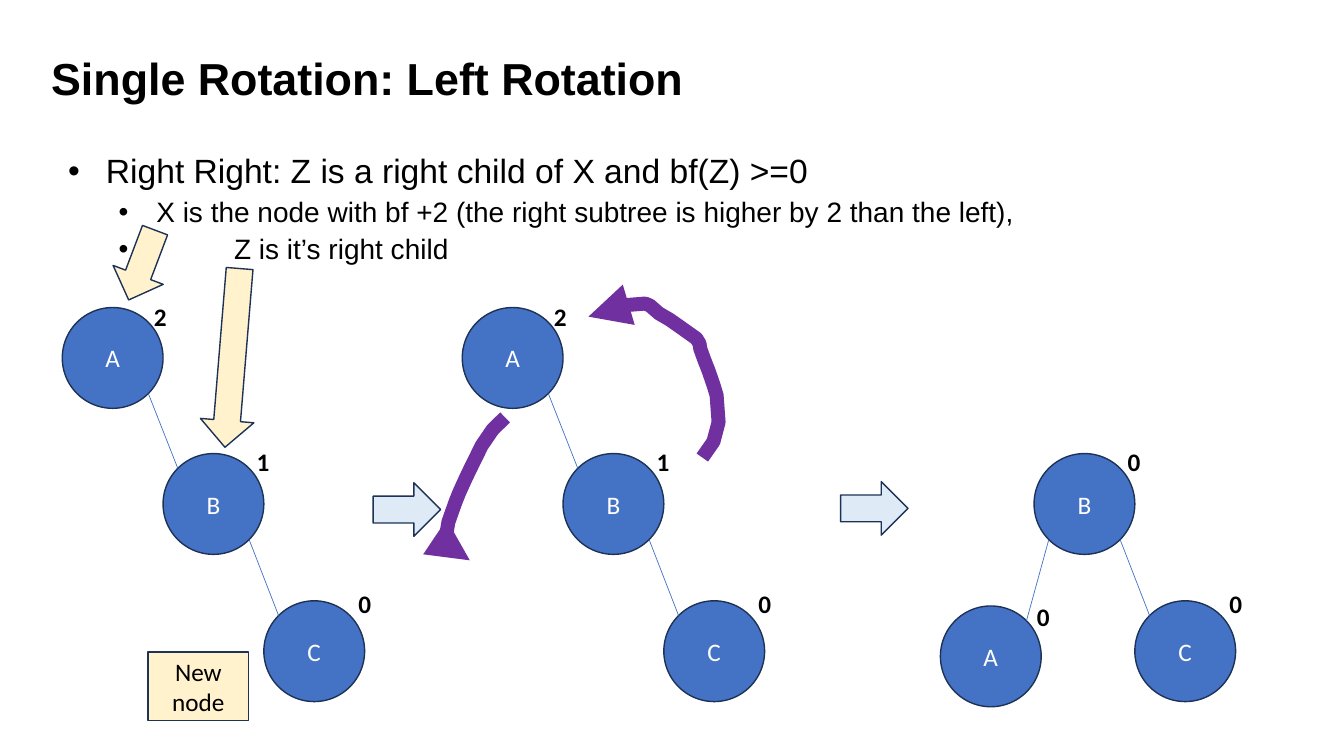
import pptx
import pptx.dml.color
import pptx.enum.shapes
import pptx.enum.text
import pptx.oxml.ns
import pptx.oxml.xmlchemy
import pptx.util

Cm, Pt = pptx.util.Cm, pptx.util.Pt
RGBColor = pptx.dml.color.RGBColor
SHAPE = pptx.enum.shapes.MSO_SHAPE
ANCHOR = pptx.enum.text.MSO_ANCHOR
ALIGN = pptx.enum.text.PP_ALIGN

BLACK = RGBColor(0x00, 0x00, 0x00)
WHITE = RGBColor(0xFF, 0xFF, 0xFF)
BLUE = RGBColor(0x44, 0x72, 0xC4)
NAVY = RGBColor(0x1E, 0x32, 0x56)
CREAM = RGBColor(0xFF, 0xF2, 0xCC)
PALE_BLUE = RGBColor(0xDE, 0xEB, 0xF7)
PURPLE = RGBColor(0x70, 0x30, 0xA0)

TITLE = "Single Rotation: Left Rotation"
# text, level, left margin (cm), first-line indent (cm), space before (pt), size (pt)
BULLETS = [
    ("Right Right: Z is a right child of X and bf(Z) >=0", 0, 0.95, -0.95, 0, 24),
    ("X is the node with bf +2 (the right subtree is higher by 2 than the left),",
     1, 2.22, -0.95, 5, 20),
    ("Z is it’s right child", 1, 4.18, -2.91, 5, 20),
]
NEW_NODE = ("New node", (3.73, 16.43, 2.54, 1.73))

# Lengths below are in cm.
NODE_SIZE = 2.54
BALANCE_SIZE = (0.84, 1.02)
# label: (left, top, offset of the balance factor from the node's corner)
CHAIN = {
    "A": (1.57, 7.75, (2.06, -0.28)),
    "B": (4.11, 11.43, (2.11, -0.30)),
    "C": (6.65, 15.14, (2.13, -0.43)),
}
ROTATED = {**CHAIN, "A": (1.75, 15.27, (2.18, -0.23))}
# shift to the right, nodes, balance factors, edges (parent, child)
TREES = [
    (0, CHAIN, "210", ["AB", "BC"]),
    (10.08, CHAIN, "210", ["AB", "BC"]),
    (21.95, ROTATED, "000", ["BA", "BC"]),
]
# left, top, width, height, rotation, fill
BLOCK_ARROWS = [
    (2.90, 5.74, 1.35, 1.88, 20.7, CREAM),
    (5.18, 6.76, 1.35, 4.52, 4.7, CREAM),
    (9.58, 11.99, 1.35, 1.70, 270, PALE_BLUE),
    (21.36, 11.96, 1.35, 1.70, 270, PALE_BLUE),
]
SWINGS = [
    [(17.70, 11.53), (17.98, 11.13), (18.11, 10.64), (18.06, 9.96), (17.98, 9.70),
     (17.86, 9.35), (17.75, 9.07), (17.65, 8.79), (17.63, 8.66), (17.55, 8.53),
     (17.17, 8.26), (16.87, 8.05), (16.61, 7.90), (16.38, 7.70), (16.26, 7.65),
     (15.65, 7.70), (15.37, 7.77), (15.01, 7.85), (14.83, 7.98)],
    [(12.73, 10.52), (12.42, 10.82), (12.14, 11.23), (11.84, 11.84), (11.73, 12.07),
     (11.58, 12.40), (11.48, 12.65), (11.38, 12.93), (11.30, 13.16), (11.25, 13.46),
     (11.25, 13.69), (11.25, 13.87), (11.23, 14.10), (11.25, 14.15), (11.46, 14.22),
     (11.73, 14.20), (11.84, 14.12)],
]


def set_all(target, values):
    for name, value in values.items():
        setattr(target, name, value)


def append_element(parent, tag, **attributes):
    element = pptx.oxml.xmlchemy.OxmlElement(tag)
    for name, value in attributes.items():
        element.set(name, value)
    parent.append(element)


def write(para, text, color, **font):
    para.text = text
    set_all(para.font, font)
    para.font.color.rgb = color


def add_text_box(page, place, **frame):
    box = page.shapes.add_textbox(*map(Cm, place))
    set_all(box.text_frame, frame)
    return box.text_frame


def add_filled(page, kind, place, fill, text="", color=BLACK):
    shape = page.shapes.add_shape(kind, *map(Cm, place))
    shape.shadow.inherit = False
    shape.fill.solid()
    shape.fill.fore_color.rgb = fill
    shape.line.color.rgb = NAVY
    shape.line.width = Pt(1)
    if text:
        set_all(shape.text_frame, {"word_wrap": True, "vertical_anchor": ANCHOR.MIDDLE})
        para = shape.text_frame.paragraphs[0]
        para.alignment = ALIGN.CENTER
        write(para, text, color, name="Calibri", size=Pt(18))
    return shape


def add_bullets(page):
    frame = add_text_box(page, (1.47, 3.78, 32.39, 12.93), word_wrap=True)
    for index, (text, level, margin, indent, before, size) in enumerate(BULLETS):
        para = frame.add_paragraph() if index else frame.paragraphs[0]
        set_all(para, {"level": level, "line_spacing": 0.9, "space_before": Pt(before)})
        props = para._p.get_or_add_pPr()
        props.set("marL", str(int(Cm(margin))))
        props.set("indent", str(int(Cm(indent))))
        append_element(props, "a:buFont", typeface="Arial")
        append_element(props, "a:buChar", char="•")
        write(para, text, BLACK, name="Arial", size=Pt(size))


def add_edge(page, shift, parent, child):
    """Join the lower diagonal point of the parent to the facing one of the child."""
    near, far = 0.146 * NODE_SIZE, 0.854 * NODE_SIZE
    start, end = (far, near) if child[0] > parent[0] else (near, far)
    edge = page.shapes.add_connector(
        pptx.enum.shapes.MSO_CONNECTOR.STRAIGHT,
        Cm(shift + parent[0] + start), Cm(parent[1] + far),
        Cm(shift + child[0] + end), Cm(child[1] + near))
    edge.line.color.rgb = BLUE
    edge.line.width = Pt(0.5)
    append_element(edge._element.spPr, "a:effectLst")


def add_tree(page, shift, nodes, balances, edges):
    for (label, (left, top, offset)), balance in zip(nodes.items(), balances):
        add_filled(page, SHAPE.OVAL, (shift + left, top, NODE_SIZE, NODE_SIZE),
                   BLUE, label, WHITE)
        place = (shift + left + offset[0], top + offset[1], *BALANCE_SIZE)
        frame = add_text_box(page, place, word_wrap=False,
                             auto_size=pptx.enum.text.MSO_AUTO_SIZE.SHAPE_TO_FIT_TEXT)
        write(frame.paragraphs[0], balance, BLACK, name="Calibri", size=Pt(18), bold=True)
    for parent, child in edges:
        add_edge(page, shift, nodes[parent], nodes[child])


def add_swing(page, points):
    """Draw a thick open stroke that ends in an arrowhead."""
    start, *rest = [(Cm(x), Cm(y)) for x, y in points]
    builder = page.shapes.build_freeform(*start)
    builder.add_line_segments(rest, close=False)
    swing = builder.convert_to_shape()
    swing.shadow.inherit = False
    swing.fill.background()
    swing.line.color.rgb = PURPLE
    swing.line.width = Pt(10)
    outline = swing._element.spPr.find(pptx.oxml.ns.qn("a:ln"))
    append_element(outline, "a:tailEnd", type="triangle")


def main():
    deck = pptx.Presentation()
    set_all(deck, {"slide_width": Cm(33.87), "slide_height": Cm(19.05)})
    page = deck.slides.add_slide(deck.slide_layouts[6])

    title = add_text_box(page, (1.04, 1.04, 29.13, 1.73), word_wrap=True,
                         vertical_anchor=ANCHOR.BOTTOM)
    title.paragraphs[0].line_spacing = 0.9
    write(title.paragraphs[0], TITLE, BLACK, name="Arial", size=Pt(32), bold=True)
    add_bullets(page)

    for tree in TREES:
        add_tree(page, *tree)
    for *place, rotation, fill in BLOCK_ARROWS:
        add_filled(page, SHAPE.DOWN_ARROW, place, fill).rotation = rotation
    text, place = NEW_NODE
    add_filled(page, SHAPE.RECTANGLE, place, CREAM, text)
    for points in SWINGS:
        add_swing(page, points)
    deck.save("out.pptx")


if __name__ == "__main__":
    main()
